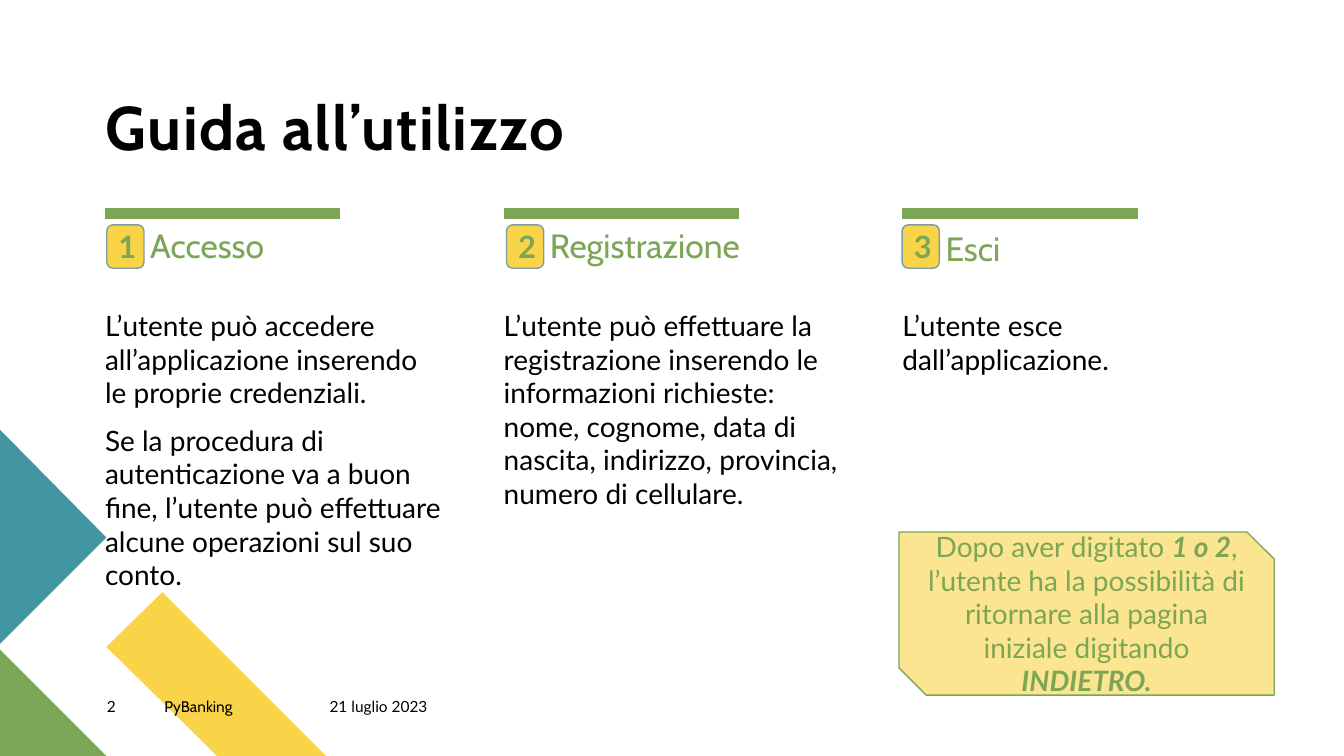
"""Build the "Guida all'utilizzo" slide: three numbered columns and a callout."""
from lxml.etree import SubElement
from pptx import Presentation
from pptx.dml.color import RGBColor
from pptx.enum.shapes import MSO_CONNECTOR, MSO_SHAPE
from pptx.enum.text import MSO_ANCHOR, MSO_AUTO_SIZE, PP_ALIGN
from pptx.oxml.ns import qn
from pptx.util import Pt

COLORS = {
    "black": "000000", "green": "7CA655", "yellow": "F9D448",
    "teal": "4495A2", "pale": "FBE591", "badge_line": "7D9DA2",
}
TITLE = "Guida all’utilizzo"
COLUMNS = [
    {"heading": "Accesso", "badge_left": 76.3, "spacing": 0.8, "body": [
        "L’utente può accedere all’applicazione inserendo le proprie credenziali.",
        "Se la procedura di autenticazione va a buon fine, l’utente può "
        "effettuare alcune operazioni sul suo conto."]},
    {"heading": "Registrazione", "badge_left": 361.8, "spacing": 0.8, "body": [
        "L’utente può effettuare la registrazione inserendo le informazioni "
        "richieste: nome, cognome, data di nascita, indirizzo, provincia, "
        "numero di cellulare."]},
    {"heading": "Esci", "badge_left": 644.4, "spacing": 0.9, "body": [
        "L’utente esce dall’applicazione."]},
]
CALLOUT = [
    ("Dopo aver digitato ", False),
    ("1 o 2", True),
    (", l’utente ha la possibilità di ritornare alla pagina iniziale digitando ", False),
    ("INDIETRO.", True),
]
FOOTER = [("2", "Lato", 76.3, 41), ("PyBanking", "Cabin", 117.4, 118),
          ("21 luglio 2023", "Lato", 235.4, 104)]
DECORATIONS = [
    ("yellow", [(116, 423), (76.5, 461.5), (155, 540), (233, 540)]),
    ("green", [(0, 463.5), (76.5, 540), (0, 540)]),
    ("teal", [(0, 307), (76.5, 383.5), (0, 460)]),
]
COLUMN_LEFT, COLUMN_PITCH, BODY_WIDTH = 75, 284.8, 240
BAR_Y, BAR_WIDTH = 152.8, 168
BADGE_TOP, BADGE_WIDTH, BADGE_HEIGHT = 160.6, 26.6, 31
HEADING_TOP, HEADING_INDENT, BODY_TOP, FOOTER_TOP = 166.3, 4.4, 220.3, 498.2


def rgb(name):
    return RGBColor.from_string(COLORS[name])


def add_run(paragraph, text, size, font, color="black", bold=False, italic=False):
    run = paragraph.add_run()
    run.text = text
    run.font.size, run.font.name = Pt(size), font
    run.font.bold, run.font.italic = bold, italic
    run.font.color.rgb = rgb(color)
    return run


def add_text(slide, box, paragraphs, size, font, color="black", spacing=1.0, before=0):
    frame = slide.shapes.add_textbox(*map(Pt, box)).text_frame
    frame.word_wrap = True
    frame.margin_left = frame.margin_right = frame.margin_top = frame.margin_bottom = 0
    for index, text in enumerate(paragraphs):
        paragraph = frame.add_paragraph() if index else frame.paragraphs[0]
        paragraph.line_spacing, paragraph.space_before = spacing, Pt(before)
        add_run(paragraph, text, size, font, color)


def add_panel(slide, kind, box, fill, line):
    panel = slide.shapes.add_shape(kind, *map(Pt, box))
    panel.shadow.inherit = False
    panel.fill.solid()
    panel.fill.fore_color.rgb = rgb(fill)
    panel.line.color.rgb, panel.line.width = rgb(line), Pt(1)
    panel.text_frame.word_wrap = True
    panel.text_frame.vertical_anchor = MSO_ANCHOR.MIDDLE
    paragraph = panel.text_frame.paragraphs[0]
    paragraph.alignment = PP_ALIGN.CENTER
    return paragraph


def add_decoration(slide, color, points):
    builder = slide.shapes.build_freeform(*points[0], scale=Pt(1))
    builder.add_line_segments(points[1:], close=True)
    decoration = builder.convert_to_shape()
    decoration.shadow.inherit = False
    decoration.fill.solid()
    decoration.fill.fore_color.rgb = rgb(color)
    decoration.line.fill.background()


def add_title(slide):
    title = slide.shapes.title
    title.left, title.top, title.width, title.height = map(Pt, (75.6, 69.1, 388.8, 48.2))
    frame = title.text_frame
    frame.auto_size = MSO_AUTO_SIZE.NONE
    frame.vertical_anchor = MSO_ANCHOR.BOTTOM
    frame.margin_left = frame.margin_right = frame.margin_top = frame.margin_bottom = 0
    paragraph = frame.paragraphs[0]
    paragraph.alignment, paragraph.line_spacing = PP_ALIGN.LEFT, 0.9
    run = add_run(paragraph, TITLE, 44, "Cabin", bold=True)
    run.font._element.set("spc", "100")


def add_column(slide, number, column):
    left = COLUMN_LEFT + (number - 1) * COLUMN_PITCH
    bar = slide.shapes.add_connector(
        MSO_CONNECTOR.STRAIGHT, Pt(left), Pt(BAR_Y), Pt(left + BAR_WIDTH), Pt(BAR_Y))
    bar.line.color.rgb, bar.line.width = rgb("green"), Pt(8)
    SubElement(bar._element.spPr, qn("a:effectLst"))

    badge_left = column["badge_left"]
    badge = add_panel(slide, MSO_SHAPE.ROUNDED_RECTANGLE,
                      (badge_left, BADGE_TOP, BADGE_WIDTH, BADGE_HEIGHT),
                      "yellow", "badge_line")
    add_run(badge, str(number), 22, "Lato", "green", bold=True)

    heading_left = badge_left + BADGE_WIDTH + HEADING_INDENT
    add_text(slide, (heading_left, HEADING_TOP, 145, 24), [column["heading"]],
             24, "Cabin", "green", column["spacing"], 10)
    add_text(slide, (left, BODY_TOP, BODY_WIDTH, 231), column["body"],
             20, "Lato", before=10)


def main():
    presentation = Presentation()
    presentation.slide_width, presentation.slide_height = Pt(960), Pt(540)
    slide = presentation.slides.add_slide(presentation.slide_layouts[5])
    for color, points in DECORATIONS:
        add_decoration(slide, color, points)
    add_title(slide)
    for number, column in enumerate(COLUMNS, 1):
        add_column(slide, number, column)
    for text, font, left, width in FOOTER:
        add_text(slide, (left, FOOTER_TOP, width, 19.4), [text], 11, font)
    callout = add_panel(slide, MSO_SHAPE.SNIP_2_DIAG_RECTANGLE,
                        (642.2, 380, 268, 116.5), "pale", "green")
    for text, strong in CALLOUT:
        add_run(callout, text, 20, "Lato", "green", bold=strong, italic=strong)
    presentation.save("out.pptx")


if __name__ == "__main__":
    main()
